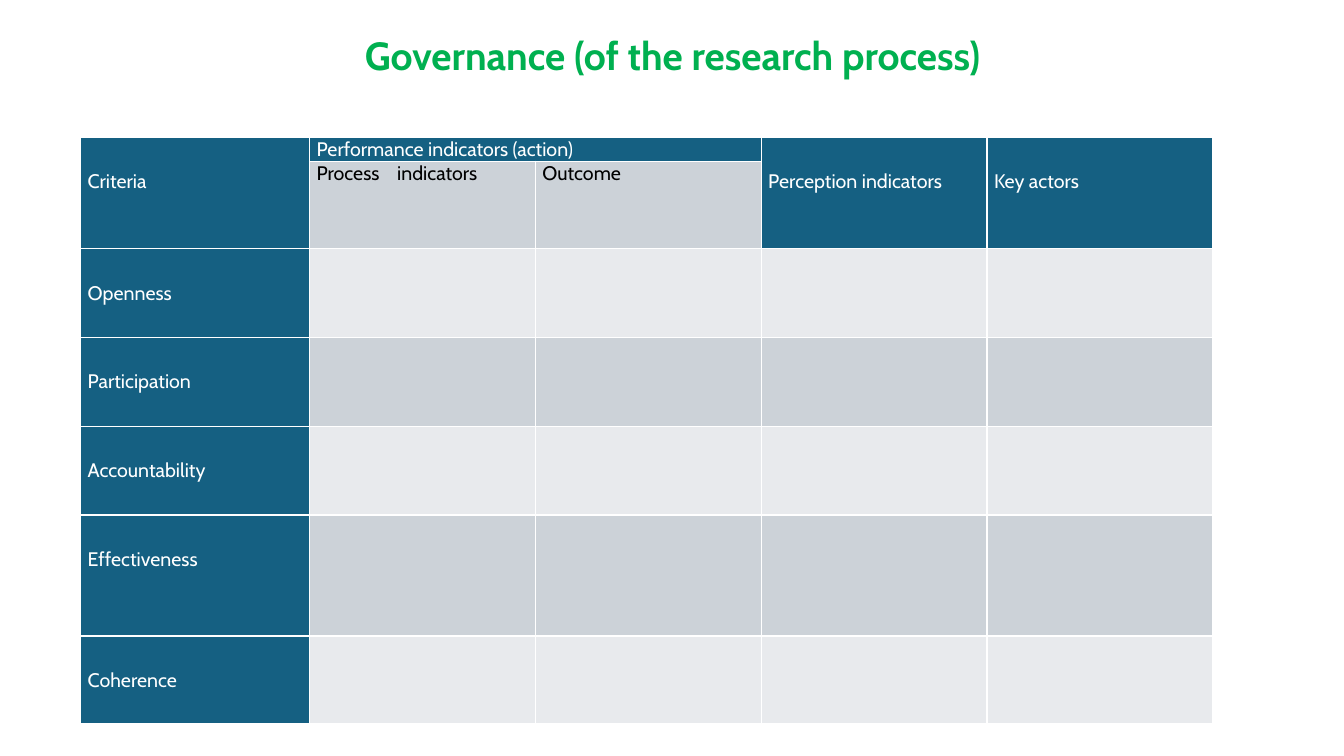
from lxml import etree
from pptx import Presentation
from pptx import util as u
from pptx.dml.color import RGBColor
from pptx.enum import text
from pptx.oxml import ns

HUES = {"green": "00B050", "blue": "156082", "grey": "CCD2D8",
        "pale": "E8EAED", "white": "FFFFFF", "black": "000000"}
HEADS = [(0, 0, 1, 0, "Criteria"), (0, 1, 0, 2, "Performance indicators (action)"),
         (0, 3, 1, 3, "Perception indicators"), (0, 4, 1, 4, "Key actors")]
PARTS = ["Process\tindicators", "Outcome"]
NAMES = ["Openness", "Participation", "Accountability", "Effectiveness", "Coherence"]
WIDTHS = [2.27] + [2.24] * 4
HEIGHTS = [0.24, 0.87, 0.88, 0.88, 0.88, 1.2, 0.87]
DROP = 0.32


class Board:
    def __init__(self, deck):
        self.face = "Cabin"
        self.slide = deck.slides.add_slide(deck.slide_layouts[5])

    def apply(self, item, style):
        for key, value in style.items():
            setattr(item, key, value)

    def phrase(self, para, words, size, hue, bold=False):
        run = para.add_run()
        run.text = words
        self.apply(run.font, {"name": self.face, "size": u.Pt(size), "bold": bold})
        run.font.color.rgb = RGBColor.from_string(HUES[hue])

    def title(self, words, box):
        head = self.slide.shapes.title
        sides = ("left", "top", "width", "height")
        self.apply(head, dict(zip(sides, map(u.Inches, box))))
        frame = head.text_frame
        self.apply(frame, {"word_wrap": True, "auto_size": text.MSO_AUTO_SIZE.NONE,
                           "vertical_anchor": text.MSO_ANCHOR.MIDDLE})
        para = frame.paragraphs[0]
        self.apply(para, {"alignment": text.PP_ALIGN.CENTER, "line_spacing": 0.9})
        self.phrase(para, words, 28, "green", True)

    def table(self, left, top, widths, heights):
        box = [u.Inches(n) for n in (left, top, sum(widths), sum(heights))]
        grid = self.slide.shapes.add_table(len(heights), len(widths), *box).table
        self.apply(grid, {"first_row": False, "horz_banding": False})
        for col, width in zip(grid.columns, widths):
            col.width = u.Inches(width)
        for row, height in zip(grid.rows, heights):
            row.height = u.Inches(height)
        return grid

    def edge(self, cell):
        props = cell._tc.get_or_add_tcPr()
        for spot, side in enumerate(("lnL", "lnR", "lnT", "lnB")):
            line = etree.Element(ns.qn("a:" + side), w=str(u.Pt(1)))
            fill = etree.SubElement(line, ns.qn("a:solidFill"))
            etree.SubElement(fill, ns.qn("a:srgbClr"), val=HUES["white"])
            props.insert(spot, line)

    def paint(self, cell, hue):
        self.apply(cell, {"margin_left": u.Inches(0.07), "margin_right": u.Inches(0.07),
                          "margin_top": 0, "margin_bottom": 0})
        cell.fill.solid()
        cell.fill.fore_color.rgb = RGBColor.from_string(HUES[hue])
        self.edge(cell)

    def label(self, cell, words, hue, drop=0):
        cell.margin_top = u.Inches(drop)
        para = cell.text_frame.paragraphs[0]
        self.phrase(para, words, 14, hue)
        if "\t" in words:
            tabs = etree.SubElement(para._p.get_or_add_pPr(), ns.qn("a:tabLst"))
            etree.SubElement(tabs, ns.qn("a:tab"), pos=str(u.Inches(0.8)), algn="l")


def main():
    deck = Presentation()
    deck.slide_width, deck.slide_height = u.Inches(13.33), u.Inches(7.5)
    board = Board(deck)
    board.title("Governance (of the research process)", (0.94, 0.29, 11.46, 0.57))
    grid = board.table(0.8, 1.36, WIDTHS, HEIGHTS)
    for row in range(len(HEIGHTS)):
        for col in range(len(WIDTHS)):
            band = "grey" if row % 2 else "pale"
            dark = row == 0 or col == 0 or (row == 1 and col > 2)
            board.paint(grid.cell(row, col), "blue" if dark else band)
    for row, col, last, end, words in HEADS:
        cell = grid.cell(row, col)
        cell.merge(grid.cell(last, end))
        board.label(cell, words, "white", DROP if last else 0)
    for col, words in enumerate(PARTS, 1):
        board.label(grid.cell(1, col), words, "black")
    for row, words in enumerate(NAMES, 2):
        board.label(grid.cell(row, 0), words, "white", DROP)
    deck.save("out.pptx")


if __name__ == "__main__":
    main()
